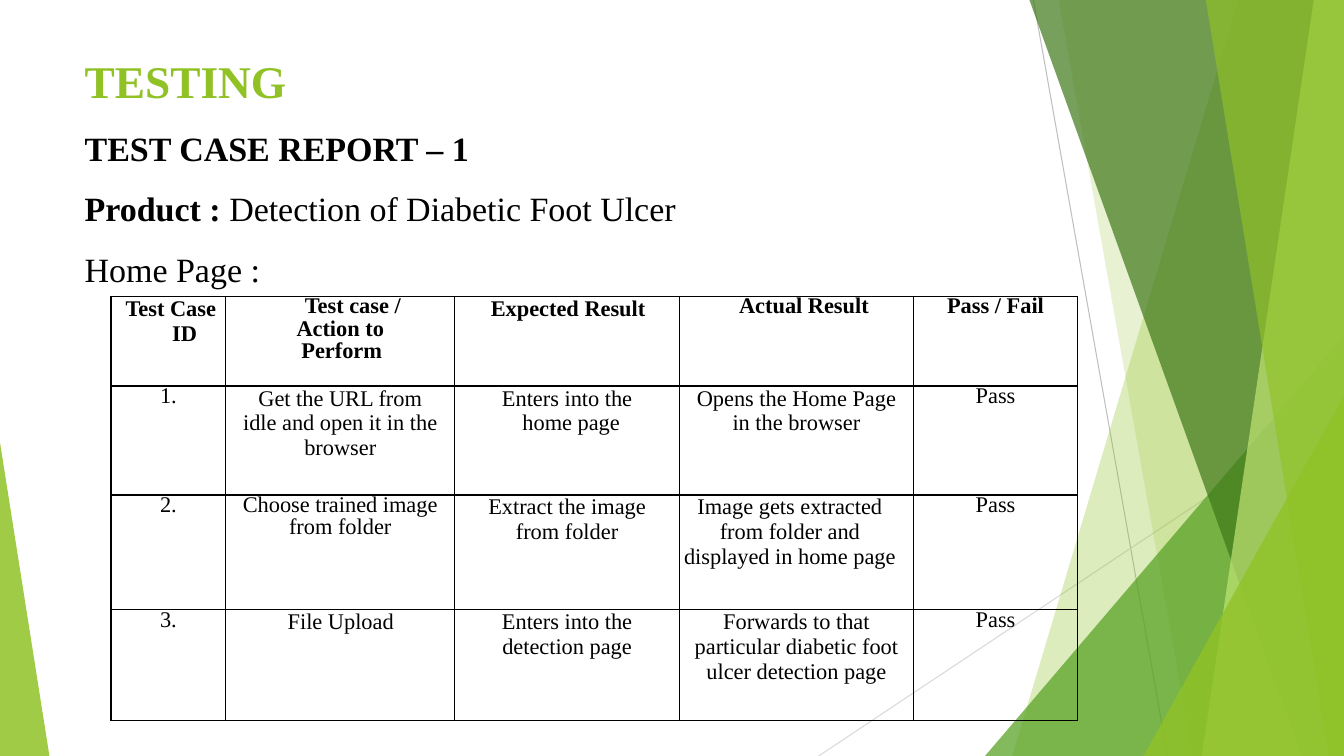
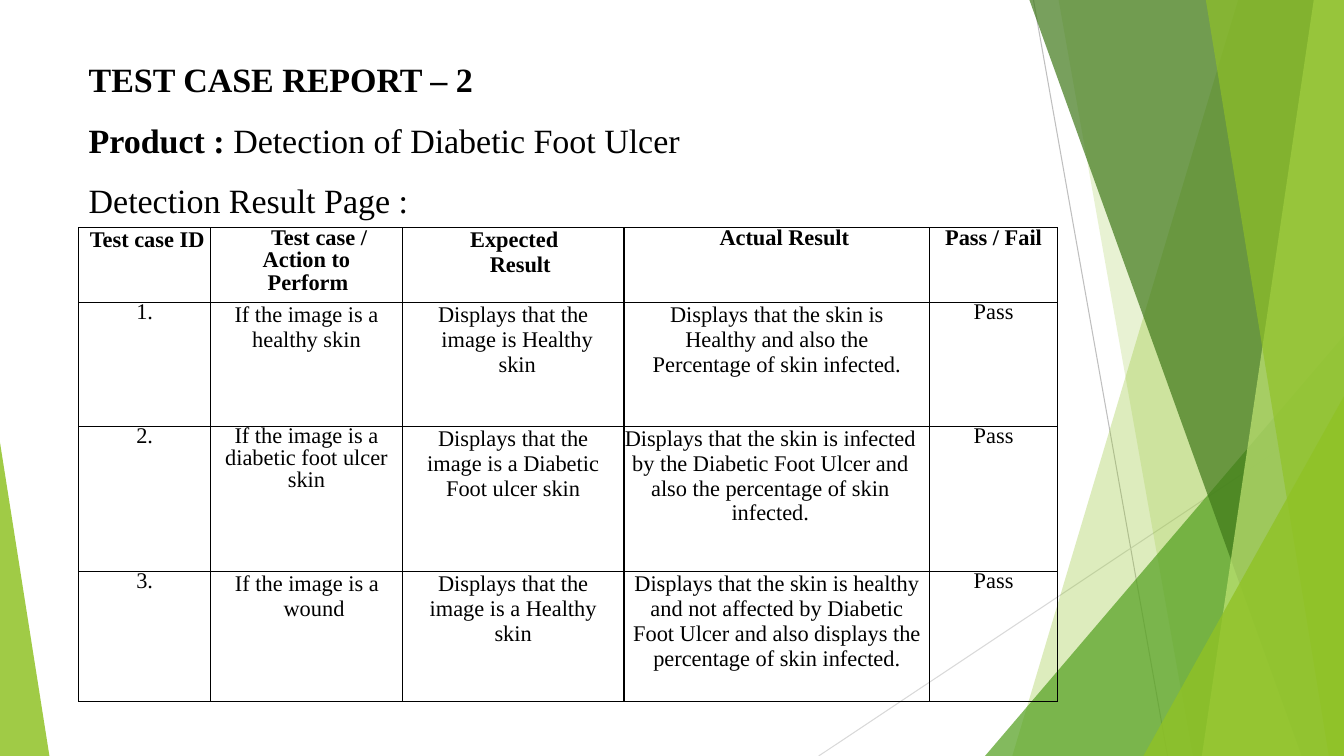
from pptx import Presentation
from pptx.dml.color import RGBColor
from pptx.enum import shapes, text
from pptx.oxml.ns import qn
from pptx.util import Inches, Pt
from lxml import etree

FONT = "Times New Roman"
BLACK = RGBColor(0, 0, 0)
LIME = RGBColor(0x90, 0xC2, 0x26)
GREEN = RGBColor(0x54, 0xA0, 0x21)
DARK_GREEN = RGBColor(0x3F, 0x78, 0x19)
PALE_LIME = RGBColor(0xC0, 0xE4, 0x74)
GRAY = RGBColor(0xBF, 0xBF, 0xBF)
LIGHT_GRAY = RGBColor(0xD9, 0xD9, 0xD9)
WIDTH, HEIGHT = 13.33, 7.5

# Cell paragraph formats: left margin, first-line indent, right margin, line height in points
NUMBER = (0.4, 0, 0.4, 15.8)
VERDICT = (0.12, 0, 0.12, 15.8)
HEADER_FORMATS = [
    [(0.38, -0.27, 0.06, None)],
    [(0.3, -0.05, 0, 16), (0.33, -0.03, 0.3, 16.1)],
    [(0.47, -0.12, 0.33, None)],
    [(0.17, 0, 0.02, 16)],
    [(0.12, 0, 0.12, 16)],
]
BODY_FORMATS = [
    [(0.15, 0, 0.15, None), (0.3, -0.08, 0.22, None), (0.14, 0, 0.14, None)],
    [(0, 0, 0, 15.8), (0.18, 0, 0.18, None), (0, 0, 0.13, None)],
    [(0.29, -0.14, 0.14, None), (0.18, 0, 0.18, None), (0.08, 0, 0.08, None)],
]

HOME_PAGE_CASES = [
    ("Get the URL from idle and open it in the browser",
     "Enters into the home page",
     "Opens the Home Page in the browser"),
    ("Choose trained image from folder",
     "Extract the image from folder",
     "Image gets extracted from folder and displayed in home page"),
    ("File Upload",
     "Enters into the detection page",
     "Forwards to that particular diabetic foot ulcer detection page"),
]
RESULT_PAGE_CASES = [
    ("If the image is a healthy skin",
     "Displays that the image is Healthy skin",
     "Displays that the skin is Healthy and also the Percentage of skin infected."),
    ("If the image is a diabetic foot ulcer skin",
     "Displays that the image is a Diabetic Foot ulcer skin",
     "Displays that the skin is infected by the Diabetic Foot Ulcer and also "
     "the percentage of skin infected."),
    ("If the image is a wound",
     "Displays that the image is a Healthy skin",
     "Displays that the skin is healthy and not affected by Diabetic Foot Ulcer "
     "and also displays the percentage of skin infected."),
]


def paint(shape, color, opacity):
    """Fill with a see-through colour, without outline or shadow."""
    shape.shadow.inherit = False
    shape.line.fill.background()
    shape.fill.solid()
    shape.fill.fore_color.rgb = color
    clr = shape._element.spPr.find(qn("a:solidFill"))[0]
    etree.SubElement(clr, qn("a:alpha"), val=str(opacity * 1000))


def add_thin_line(s, start, end, color):
    line = s.shapes.add_connector(
        shapes.MSO_CONNECTOR.STRAIGHT, *(Inches(v) for v in start + end))
    line.line.color.rgb = color
    line.line.width = Pt(0.75)
    etree.SubElement(line._element.spPr, qn("a:effectLst"))
    return line


def add_band(s, top_x, bottom_x, color, opacity):
    """Area between a slanted edge and the right side of the slide."""
    builder = s.shapes.build_freeform(Inches(top_x), 0)
    builder.add_line_segments(
        [(Inches(x), Inches(y))
         for x, y in ((WIDTH, 0), (WIDTH, HEIGHT), (bottom_x, HEIGHT))])
    band = builder.convert_to_shape()
    paint(band, color, opacity)
    return band


def add_corner(s, left, top, width, apex, color, opacity):
    """Triangle standing on the bottom edge of the slide."""
    corner = s.shapes.add_shape(
        shapes.MSO_SHAPE.ISOSCELES_TRIANGLE,
        *(Inches(v) for v in (left, top, width, HEIGHT - top)))
    corner.adjustments[0] = apex
    paint(corner, color, opacity)
    return corner


def decorate_layout(layout, s):
    """Draw the shared backdrop on slide s and move it to the layout."""
    for ph in list(layout.placeholders):
        if ph.placeholder_format.idx != 0:
            ph._element.getparent().remove(ph._element)
    backdrop = [
        add_thin_line(s, (10.25, 0), (11.58, HEIGHT), GRAY),
        add_thin_line(s, (WIDTH, 4.03), (8.12, HEIGHT), LIGHT_GRAY),
        add_band(s, 12.28, 10.04, LIME, 30),
        add_band(s, 10.5, 11.83, LIME, 20),
        add_corner(s, 9.77, 3.33, 3.56, 1, GREEN, 72),
        add_band(s, 10.21, 12.91, DARK_GREEN, 70),
        add_band(s, 13.03, 11.92, PALE_LIME, 70),
        add_band(s, 11.96, 13.18, LIME, 65),
        add_corner(s, 11.34, 3.93, 1.99, 1, LIME, 80),
        add_corner(s, 0, 4.39, 0.49, 0, LIME, 85),
    ]
    for shape in backdrop:
        layout.shapes._spTree.append(shape._element)


def set_title(s, left, top, height, lines):
    """Lines are lists of (text, size, colour, bold) runs."""
    title = s.shapes.title
    title.left, title.top = Inches(left), Inches(top)
    title.width, title.height = Inches(9.4), Inches(height)
    tf = title.text_frame
    tf.word_wrap = True
    tf.auto_size = text.MSO_AUTO_SIZE.NONE
    tf.vertical_anchor = text.MSO_ANCHOR.TOP
    for i, runs in enumerate(lines):
        p = tf.paragraphs[0] if i == 0 else tf.add_paragraph()
        p.alignment = text.PP_ALIGN.LEFT
        p.line_spacing = 1.48
        p.space_before = p.space_after = Pt(0)
        p.font.name = FONT
        for content, size, color, bold in runs:
            r = p.add_run()
            r.text = content
            r.font.size = Pt(size)
            r.font.color.rgb = color
            r.font.bold = bold


def report_lines(number, page):
    return [
        [(f"TEST CASE REPORT – {number}", 24.3, BLACK, True)],
        [("Product : ", 24.3, BLACK, True),
         ("Detection of Diabetic Foot Ulcer", 24.3, BLACK, False)],
        [(page, 24.3, BLACK, False)],
    ]


def add_borders(cell):
    tcPr = cell._tc.get_or_add_tcPr()
    for side in ("lnL", "lnR", "lnT", "lnB"):
        ln = etree.SubElement(tcPr, qn(f"a:{side}"), w=str(Pt(1)))
        fill = etree.SubElement(ln, qn("a:solidFill"))
        etree.SubElement(fill, qn("a:srgbClr"), val=str(BLACK))


def fill_cell(cell, paragraphs, formats, bold):
    add_borders(cell)
    cell.fill.background()
    cell.margin_left = cell.margin_right = cell.margin_top = cell.margin_bottom = 0
    tf = cell.text_frame
    for i, (content, (left, indent, right, height)) in enumerate(zip(paragraphs, formats)):
        p = tf.paragraphs[0] if i == 0 else tf.add_paragraph()
        p.text = content
        p.alignment = text.PP_ALIGN.CENTER
        pPr = p._p.get_or_add_pPr()
        for name, value in (("marL", left), ("marR", right), ("indent", indent)):
            pPr.set(name, str(Inches(value)))
        if height:
            p.line_spacing = Pt(height)
        p.font.name = FONT
        p.font.size = Pt(16)
        p.font.bold = bold
        p.font.color.rgb = BLACK


def add_case_table(s, left, top, col_widths, row_heights, id_header, cases):
    table = s.shapes.add_table(
        len(row_heights), len(col_widths), Inches(left), Inches(top),
        Inches(sum(col_widths)), Inches(sum(row_heights))).table
    table.first_row = table.horz_banding = False
    for column, width in zip(table.columns, col_widths):
        column.width = Inches(width)
    for row, height in zip(table.rows, row_heights):
        row.height = Inches(height)
    headers = [[id_header], ["Test case /", "Action to Perform"],
               ["Expected Result"], ["Actual Result"], ["Pass / Fail"]]
    for c, (header, formats) in enumerate(zip(headers, HEADER_FORMATS)):
        fill_cell(table.cell(0, c), header, formats, True)
    for n, (case, formats) in enumerate(zip(cases, BODY_FORMATS), 1):
        values = [f"{n}.", *case, "Pass"]
        for c, (value, fmt) in enumerate(zip(values, [NUMBER, *formats, VERDICT])):
            fill_cell(table.cell(n, c), [value], [fmt], False)


def main():
    prs = Presentation()
    prs.slide_width, prs.slide_height = Inches(WIDTH), Inches(HEIGHT)
    layout = prs.slide_layouts[5]

    s = prs.slides.add_slide(layout)
    decorate_layout(layout, s)
    set_title(s, 0.74, 0.22, 2.7,
              [[("TESTING", 32.4, LIME, True)], *report_lines(1, "Home Page :")])
    add_case_table(s, 1.1, 2.94, [1.14, 2.27, 2.23, 2.32, 1.63],
                   [0.89, 1.08, 1.14, 1.1], "Test Case ID", HOME_PAGE_CASES)

    s = prs.slides.add_slide(layout)
    set_title(s, 0.78, 0.34, 1.9, report_lines(2, "Detection Result Page :"))
    add_case_table(s, 0.78, 2.26, [1.31, 1.9, 2.2, 3.03, 1.27],
                   [0.74, 1.23, 1.44, 1.29], "Test case ID", RESULT_PAGE_CASES)

    prs.save("out.pptx")


if __name__ == "__main__":
    main()
